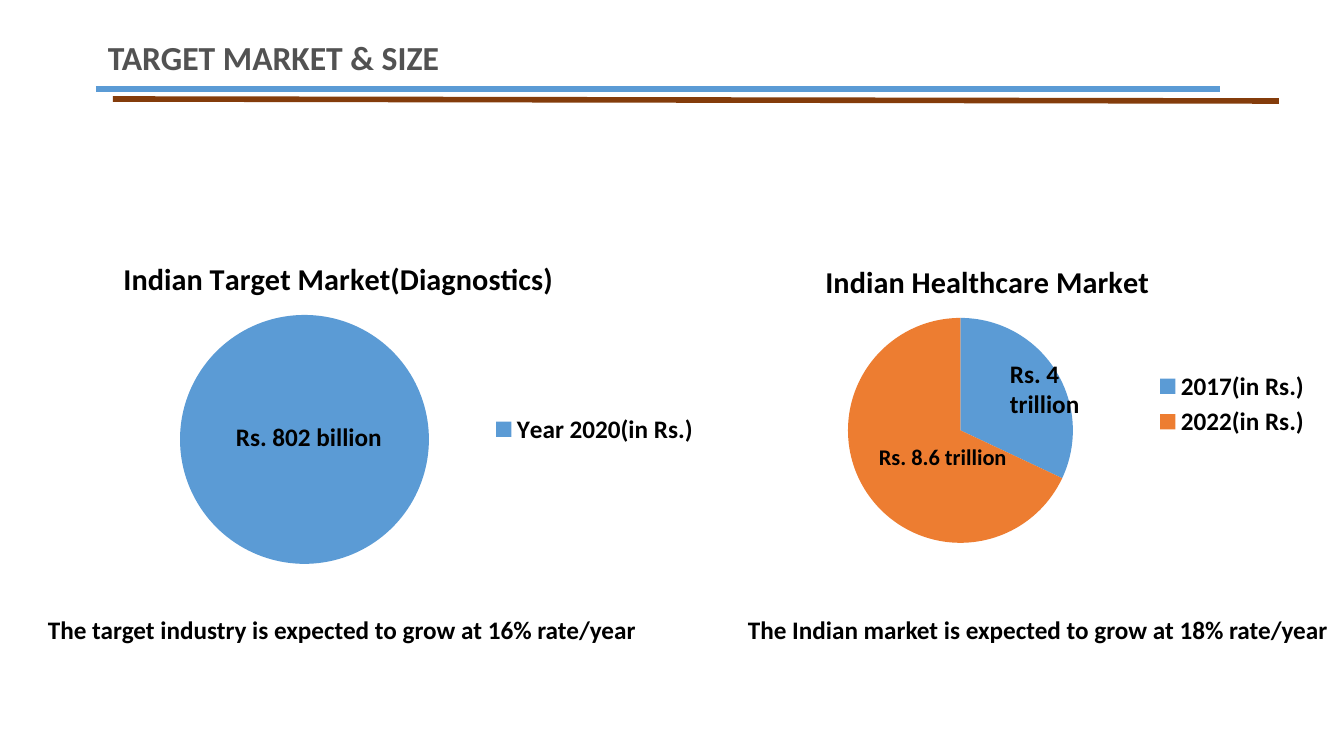
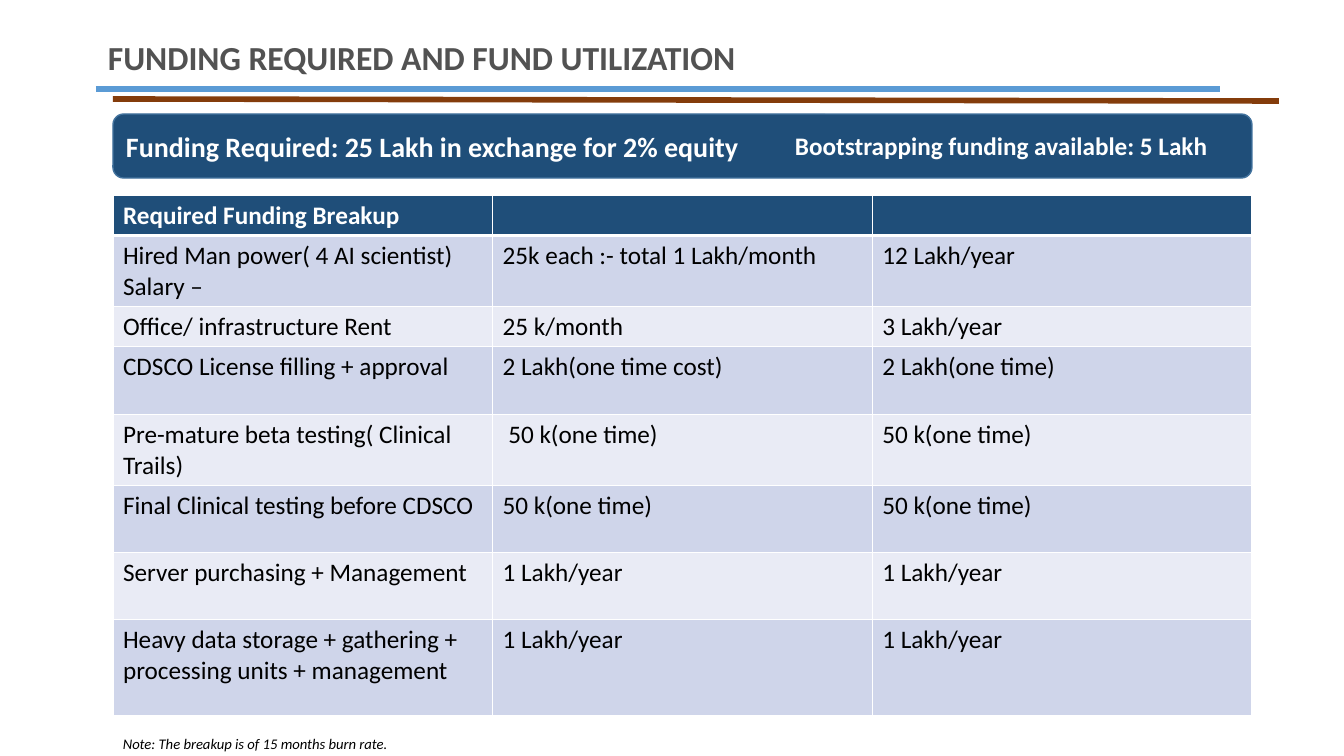
from lxml.etree import SubElement
from pptx import Presentation
from pptx.chart.data import CategoryChartData
from pptx.dml.color import RGBColor
from pptx.enum.chart import XL_CHART_TYPE, XL_LEGEND_POSITION
from pptx.enum.shapes import MSO_CONNECTOR, MSO_SHAPE
from pptx.enum.text import MSO_ANCHOR, MSO_AUTO_SIZE, PP_ALIGN
from pptx.oxml import parse_xml
from pptx.oxml.ns import nsdecls, qn
from pptx.util import Emu, Pt

# Shared style
FONT = "Calibri"
BLUE, ORANGE, BROWN = "5B9BD5", "ED7D31", "843C0B"
NAVY, NAVY_EDGE = "1F4E79", "43739E"
BANDS = ("E9EBF5", "CFD5EA")
GREY, BLACK, WHITE = "525252", "000000", "FFFFFF"
SLICES = (BLUE, ORANGE)

FUNDING_ROWS = (
    ("Required Funding Breakup", "", ""),
    ("Hired Man power( 4 AI scientist) Salary –", "25k each :- total 1 Lakh/month", "12 Lakh/year"),
    ("Office/ infrastructure Rent", "25 k/month", "3 Lakh/year"),
    ("CDSCO License filling + approval", "2 Lakh(one time cost)", "2 Lakh(one time)"),
    ("Pre-mature beta testing( Clinical Trails)", " 50 k(one time)", "50 k(one time)"),
    ("Final Clinical testing before CDSCO", "50 k(one time)", "50 k(one time)"),
    ("Server purchasing + Management", "1 Lakh/year", "1 Lakh/year"),
    ("Heavy data storage + gathering + processing units + management", "1 Lakh/year", "1 Lakh/year"),
)
ROW_HEIGHTS = (40, 71, 40, 68, 71, 67, 67, 96)


def px(length):
    return Emu(round(length * 914400 / 100.8))


def color(value):
    return RGBColor.from_string(value)


def style_font(font, size, ink=BLACK, bold=False, italic=False):
    font.name = FONT
    font.size = Pt(size)
    font.bold = bold
    font.italic = italic
    font.color.rgb = color(ink)


def write(frame, text, size, ink=BLACK, bold=False, italic=False):
    frame.text = text
    para = frame.paragraphs[0]
    para.alignment = PP_ALIGN.LEFT
    for span in para.runs:
        style_font(span.font, size, ink, bold, italic)
    return para


def add_text(page, at, text, size, ink=BLACK, bold=True, italic=False, wrap=False):
    box = page.shapes.add_textbox(*map(px, at))
    frame = box.text_frame
    frame.word_wrap = wrap
    frame.auto_size = MSO_AUTO_SIZE.SHAPE_TO_FIT_TEXT
    return write(frame, text, size, ink, bold, italic)


def add_rule(page, start, end, ink):
    rule = page.shapes.add_connector(MSO_CONNECTOR.STRAIGHT, *map(px, start + end))
    rule.line.color.rgb = color(ink)
    rule.line.width = Pt(4)
    SubElement(rule._element.spPr, qn("a:effectLst"))


def add_page(deck, title):
    page = deck.slides.add_slide(deck.slide_layouts[6])
    add_rule(page, (96, 89), (1220, 89), BLUE)
    add_rule(page, (113, 99), (1279, 101), BROWN)
    add_text(page, (98, 32, 1101, 50), title, 24, GREY, wrap=True)
    return page


# Charts
def place_part(part, follows, at, chart_at, inner=False):
    """Give a chart part a fixed place, in slide pixels."""
    for old in part.findall(qn("c:layout")):
        part.remove(old)
    left, top, width, height = chart_at
    values = [(at[0] - left) / width, (at[1] - top) / height]
    values += [size / whole for size, whole in zip(at[2:], (width, height))]
    target = '<c:layoutTarget val="inner"/>' if inner else ""
    modes = '<c:xMode val="edge"/><c:yMode val="edge"/>'
    sizes = "".join(f'<c:{key} val="{value:.4f}"/>' for key, value in zip("xywh", values))
    layout = parse_xml(f'<c:layout {nsdecls("c")}><c:manualLayout>{target}{modes}{sizes}'
                       '</c:manualLayout></c:layout>')
    before = part.find(qn(follows)) if follows else None
    part.insert(0 if before is None else part.index(before) + 1, layout)


def add_pie(page, at, title, slices, title_at, pie_at, legend_at):
    data = CategoryChartData()
    data.categories = list(slices)
    data.add_series(title, list(slices.values()))
    chart = page.shapes.add_chart(XL_CHART_TYPE.PIE, *map(px, at), data).chart
    style_font(chart.font, 18)

    chart.has_title = True
    write(chart.chart_title.text_frame, title, 21.6, bold=True)
    chart.has_legend = True
    chart.legend.position = XL_LEGEND_POSITION.RIGHT
    chart.legend.include_in_layout = False
    style_font(chart.legend.font, 18, bold=True)

    plot = chart.plots[0]
    plot.vary_by_categories = True
    for index, ink in zip(range(len(slices)), SLICES):
        fill = plot.series[0].points[index].format.fill
        fill.solid()
        fill.fore_color.rgb = color(ink)

    root = chart.element.find(qn("c:chart"))
    place_part(root.find(qn("c:title")), "c:tx", title_at, at)
    place_part(root.find(qn("c:plotArea")), None, pie_at, at, inner=True)
    place_part(root.find(qn("c:legend")), "c:legendPos", legend_at, at)


# Table
def add_border(cell, side, points):
    line = SubElement(cell._tc.get_or_add_tcPr(), qn(f"a:ln{side}"), w=str(Pt(points)))
    fill = SubElement(line, qn("a:solidFill"))
    SubElement(fill, qn("a:srgbClr"), val=WHITE)


def add_funding_table(page, at, rows, heights):
    table = page.shapes.add_table(len(rows), len(rows[0]), *map(px, at)).table
    table.horz_banding = False
    for column in table.columns:
        column.width = px(at[2] / len(rows[0]))
    for index, (texts, height) in enumerate(zip(rows, heights)):
        table.rows[index].height = px(height)
        header = index == 0
        for cell, text in zip(table.rows[index].cells, texts):
            top, bottom = (3 if index == 1 else 1), (3 if header else 1)
            for side, points in zip("LRTB", (1, 1, top, bottom)):
                add_border(cell, side, points)
            cell.fill.solid()
            cell.fill.fore_color.rgb = color(NAVY if header else BANDS[index % 2])
            write(cell.text_frame, text, 18, WHITE if header else BLACK, bold=header)


def add_banner(page, at, text):
    banner = page.shapes.add_shape(MSO_SHAPE.ROUNDED_RECTANGLE, *map(px, at))
    banner.shadow.inherit = False
    banner.fill.solid()
    banner.fill.fore_color.rgb = color(NAVY)
    banner.line.color.rgb = color(NAVY_EDGE)
    banner.line.width = Pt(1)
    banner.text_frame.vertical_anchor = MSO_ANCHOR.MIDDLE
    write(banner.text_frame, text, 20, WHITE, bold=True)


# Slides
def build_market(deck):
    page = add_page(deck, "TARGET MARKET & SIZE")
    add_pie(page, (766, 237, 557, 320), "Indian Healthcare Market",
            {"2017(in Rs.)": 32, "2022(in Rs.)": 68},
            title_at=(820, 255), pie_at=(848, 318, 225, 225), legend_at=(1152, 366))
    add_text(page, (1000, 353, 114, 72), "Rs. 4 trillion", 18, wrap=True)
    add_text(page, (869, 438, 149, 37), "Rs. 8.6 trillion", 16)
    add_pie(page, (65, 234, 701, 345), "Indian Target Market(Diagnostics)",
            {"Year 2020(in Rs.)": 100},
            title_at=(118, 252), pie_at=(180, 315, 249, 249), legend_at=(488, 409))
    add_text(page, (226, 416, 167, 40), "Rs. 802 billion", 18)
    growth = add_text(page, (38, 609, 1312, 72),
                      "The target industry is expected to grow at 16% rate/year\t"
                      "The Indian market is expected to grow at 18% rate/year", 18, wrap=True)
    # One tab stop lines the second statement up under its chart
    stops = SubElement(growth._p.get_or_add_pPr(), qn("a:tabLst"))
    SubElement(stops, qn("a:tab"), pos=str(px(700)), algn="l")


def build_funding(deck):
    page = add_page(deck, "FUNDING REQUIRED AND FUND UTILIZATION")
    add_banner(page, (113, 114, 1139, 64), "Funding Required: 25 Lakh in exchange for 2% equity")
    add_text(page, (785, 125, 435, 40), "Bootstrapping funding available: 5 Lakh", 18, WHITE)
    add_funding_table(page, (113, 195, 1139, sum(ROW_HEIGHTS)), FUNDING_ROWS, ROW_HEIGHTS)
    add_text(page, (113, 730, 289, 28), "Note: The breakup is of 15 months burn rate.",
             10.5, bold=False, italic=True)


def main():
    deck = Presentation()
    deck.slide_width, deck.slide_height = px(1344), px(756)
    build_market(deck)
    build_funding(deck)
    deck.save("out.pptx")


main()
